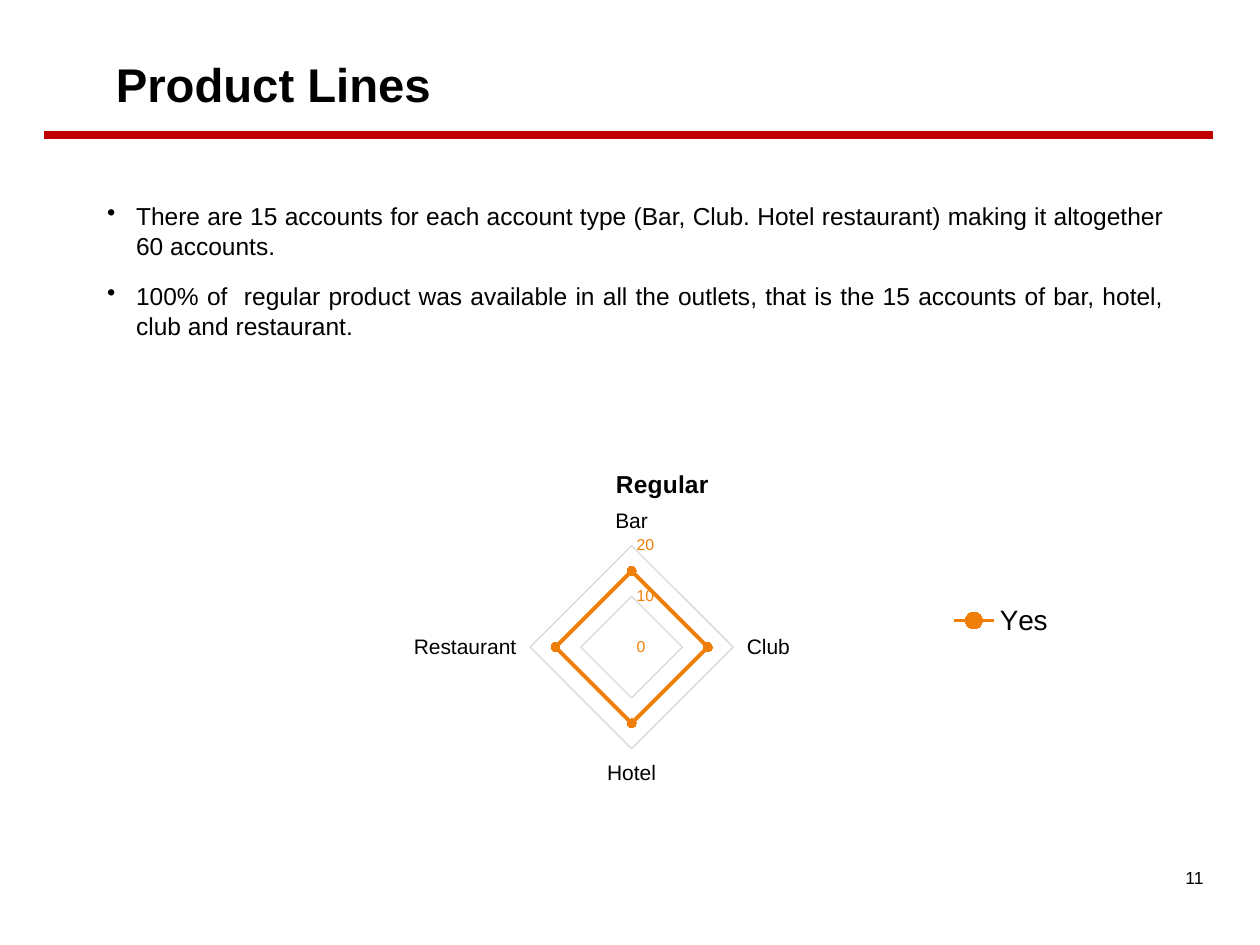
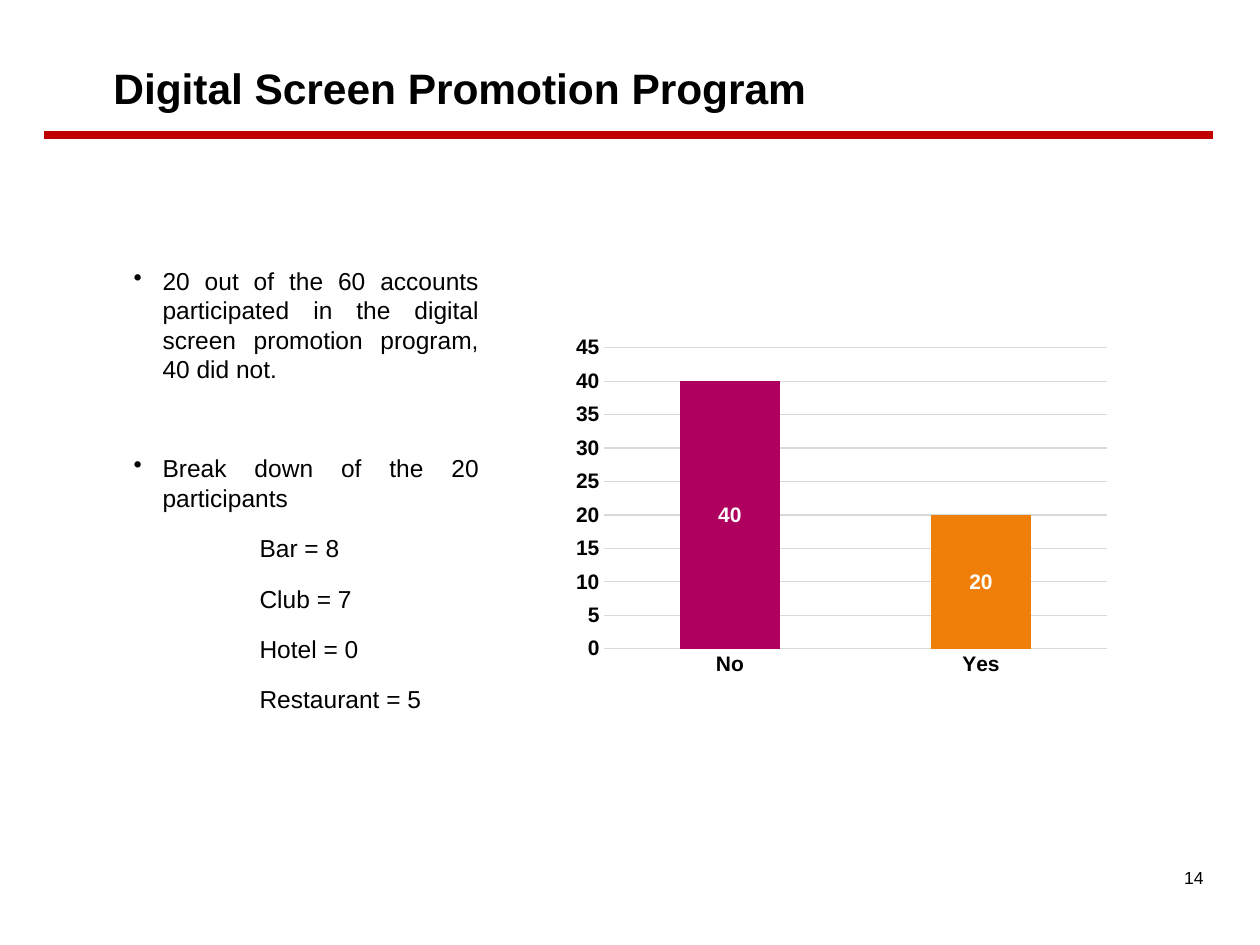
from lxml import etree
from pptx import Presentation
from pptx import util as u
from pptx.chart.data import CategoryChartData
from pptx.dml.color import RGBColor
from pptx.enum import chart as ch, shapes, text
from pptx.oxml import parse_xml
from pptx.oxml.ns import qn

COLORS = {"ink": "000000", "rule": "C00000", "grid": "D9D9D9",
          "orange": "F07F09", "magenta": "AF005F", "white": "FFFFFF"}
C = {name: RGBColor.from_string(value) for name, value in COLORS.items()}
FONT = "Arial"
Inches, Pt = u.Inches, u.Pt
LEFT_INSET = Inches(0.39)
BULLET_INDENT = Inches(0.23)


def style(font, size, color="ink", bold=False):
    font.name, font.size, font.bold = FONT, Pt(size), bold
    font.color.rgb = C[color]


def place(parent, index, **fractions):
    """Fix a chart part at fractions of the chart's width and height."""
    for old in parent.findall(qn("c:layout")):
        parent.remove(old)
    layout = etree.Element(qn("c:layout"))
    manual = etree.SubElement(layout, qn("c:manualLayout"))
    if "w" in fractions:
        etree.SubElement(manual, qn("c:layoutTarget")).set("val", "inner")
    for axis in "xy":
        etree.SubElement(manual, qn(f"c:{axis}Mode")).set("val", "edge")
    for key, value in fractions.items():
        etree.SubElement(manual, qn(f"c:{key}")).set("val", str(value))
    parent.insert(index, layout)


# Content: paragraphs are (kind, space before in points, wording)
pages = [
    dict(title="Product Lines", title_size=27, title_box=(0.53, 0.29, 3.23, 0.65),
         number="11", body_box=(0.46, 1.55, 8.88, 2.2),
         body=[("bullet", 0, "There are 15 accounts for each account type (Bar, Club. "
                             "Hotel restaurant) making it altogether 60 accounts."),
               ("bullet", 0, "100% of  regular product was available in all the outlets, "
                             "that is the 15 accounts of bar, hotel, club and restaurant.")],
         chart_type=ch.XL_CHART_TYPE.RADAR_MARKERS, chart_box=(2.01, 3.51, 6.46, 2.83),
         series="Yes", values={"Bar": 15, "Club": 15, "Hotel": 15, "Restaurant": 15},
         top=20, step=10, plot_area=dict(x=0.34, y=0.29, w=0.25, h=0.57)),
    dict(title="Digital Screen Promotion Program", title_size=24.3,
         title_box=(0.51, 0.29, 6.22, 0.66),
         number="14", body_box=(0.67, 2.06, 3.23, 3.78),
         body=[("bullet", 0, "20 out of the 60 accounts participated in the digital "
                             "screen promotion program, 40 did not."),
               ("bullet", 28, "Break down of the 20 participants"),
               ("item", 0, "Bar = 8"), ("item", 0, "Club = 7"),
               ("item", 0, "Hotel = 0"), ("item", 0, "Restaurant = 5")],
         chart_type=ch.XL_CHART_TYPE.COLUMN_STACKED, chart_box=(4.49, 2.62, 4.38, 2.81),
         series="Series 1", values={"No": 40, "Yes": 20},
         top=45, step=5, plot_area=dict(x=0.07, y=0.05, w=0.91, h=0.85)),
]

prs = Presentation()
prs.slide_width, prs.slide_height = Inches(10), Inches(7.5)

for page in pages:
    slide = prs.slides.add_slide(prs.slide_layouts[6])
    is_radar = page["chart_type"] == ch.XL_CHART_TYPE.RADAR_MARKERS

    # Page number
    number = slide.shapes.add_textbox(*map(Inches, (7, 6.83, 2.65, 0.52))).text_frame
    number.word_wrap = True
    number.paragraphs[0].alignment = text.PP_ALIGN.RIGHT
    run = number.paragraphs[0].add_run()
    run.text = page["number"]
    style(run.font, 10)

    # Red rule under the title
    rule = slide.shapes.add_connector(shapes.MSO_CONNECTOR.STRAIGHT,
                                      *map(Inches, (0.35, 1.07, 9.63, 1.07)))
    rule.line.color.rgb, rule.line.width = C["rule"], Pt(4.5)
    etree.SubElement(rule._element.spPr, qn("a:effectLst"))

    # Title
    title = slide.shapes.add_textbox(*map(Inches, page["title_box"])).text_frame
    title.word_wrap, title.margin_left = True, LEFT_INSET
    title.vertical_anchor = text.MSO_ANCHOR.BOTTOM
    run = title.paragraphs[0].add_run()
    run.text = page["title"]
    style(run.font, page["title_size"], bold=True)

    # Findings
    body = slide.shapes.add_textbox(*map(Inches, page["body_box"])).text_frame
    body.word_wrap, body.margin_left = True, LEFT_INSET
    for i, (kind, before, wording) in enumerate(page["body"]):
        para = body.paragraphs[0] if i == 0 else body.add_paragraph()
        para.alignment = text.PP_ALIGN.JUSTIFY
        para.space_before, para.space_after = Pt(before), Pt(12)
        props = para._p.get_or_add_pPr()
        if kind == "bullet":
            props.set("marL", str(BULLET_INDENT))
            props.set("indent", str(-BULLET_INDENT))
            etree.SubElement(props, qn("a:buChar")).set("char", "•")
        else:
            props.set("marL", str(Inches(1)))
        run = para.add_run()
        run.text = wording
        style(run.font, 14)

    # Chart and axes
    data = CategoryChartData()
    data.categories = list(page["values"])
    data.add_series(page["series"], list(page["values"].values()))
    chart = slide.shapes.add_chart(page["chart_type"], *map(Inches, page["chart_box"]),
                                   data).chart
    style(chart.font, 10, "orange" if is_radar else "ink")
    chart.has_title = chart.has_legend = is_radar
    place(chart._chartSpace.chart.plotArea, 0, **page["plot_area"])
    plot = chart.plots[0]
    plot.vary_by_categories = False
    series = plot.series[0]

    scale, categories = chart.value_axis, chart.category_axis
    scale.minimum_scale, scale.maximum_scale = 0, page["top"]
    scale.major_unit = page["step"]
    scale.has_major_gridlines = True
    scale.major_gridlines.format.line.color.rgb = C["grid"]
    scale.major_gridlines.format.line.width = Pt(0.75)
    for axis in (scale, categories):
        axis.major_tick_mark = axis.minor_tick_mark = ch.XL_TICK_MARK.NONE
        axis.format.line.fill.background()
    style(categories.tick_labels.font, 12, bold=not is_radar)

    if is_radar:
        # Availability of the regular product
        style(scale.tick_labels.font, 9, "orange")
        categories.format.line.color.rgb = C["grid"]
        categories.format.line.width = Pt(0.75)
        run = chart.chart_title.text_frame.paragraphs[0].add_run()
        run.text = "Regular"
        style(run.font, 14, bold=True)
        place(chart.chart_title._element, 1, x=0.44, y=0.06)
        chart.legend.position = ch.XL_LEGEND_POSITION.RIGHT
        chart.legend.include_in_layout = False
        style(chart.legend.font, 16)
        series.smooth = False
        series.format.line.color.rgb, series.format.line.width = C["orange"], Pt(2.25)
        series.marker.style, series.marker.size = ch.XL_MARKER_STYLE.CIRCLE, 5
        for part in (series.marker.format.fill, series.marker.format.line.fill):
            part.solid()
            part.fore_color.rgb = C["orange"]
    else:
        # Participation in the programme
        style(scale.tick_labels.font, 12, bold=True)
        plot.gap_width, plot.overlap = 150, 100
        no_bar = series.points[0]
        for part, color in ((series, "orange"), (no_bar, "magenta")):
            part.format.fill.solid()
            part.format.fill.fore_color.rgb = C[color]
        labels = series.data_labels
        labels.show_value = True
        labels.position = ch.XL_LABEL_POSITION.CENTER
        style(labels.font, 12, "white", bold=True)

prs.save("out.pptx")
